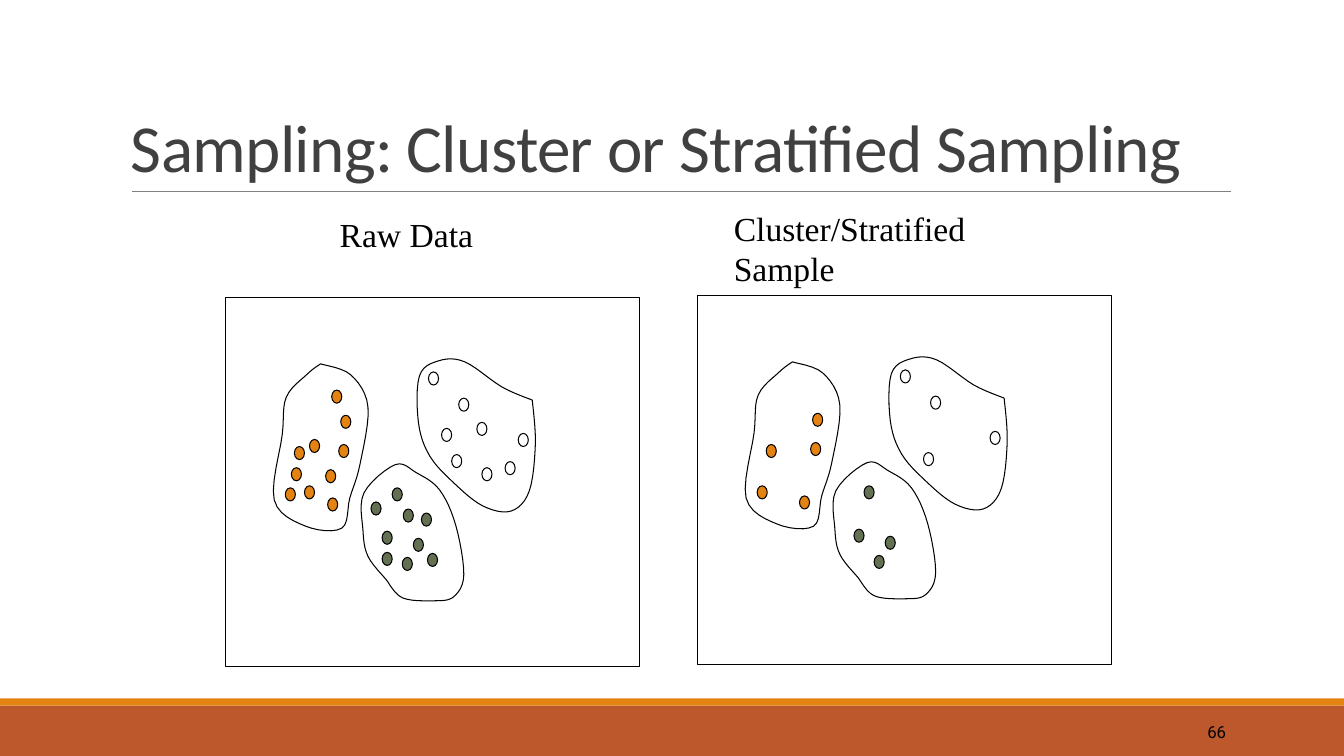
from dataclasses import dataclass

from lxml import etree
from pptx import Presentation
from pptx import util as u
from pptx.dml.color import RGBColor
from pptx.enum import shapes, text
from pptx.oxml.ns import qn

Point = tuple[float, float]

BLACK = "000000"
ORANGE = "E48312"
STEPS = 6


@dataclass
class Cluster:
    color: str
    kept: list[Point]
    rest: list[Point]
    edge: list[Point]


@dataclass
class Panel:
    dx: float
    dy: float
    whole: bool


@dataclass
class Label:
    lines: list[str]
    box: tuple[float, float, float, float]
    font: str
    size: float
    color: str = BLACK
    align: text.PP_ALIGN = text.PP_ALIGN.LEFT
    anchor: text.MSO_ANCHOR = text.MSO_ANCHOR.TOP
    tight: bool = False


CLUSTERS = [
    Cluster(
        "FFFFFF",
        [(4.55, 3.95), (4.48, 4.51), (5.14, 4.3), (4.25, 3.69)],
        [(4.73, 4.19), (4.38, 4.25), (5.01, 4.58), (4.78, 4.64)],
        [(5.28, 3.97), (5.31, 4.4), (5.25, 4.87), (5.07, 5.07), (4.79, 5.02), (4.5, 4.79),
         (4.26, 4.52), (4.15, 4.19), (4.16, 3.73), (4.35, 3.58), (4.61, 3.59), (4.98, 3.84)],
    ),
    Cluster(
        "637052",
        [(3.99, 5.53), (4.1, 5.34), (3.79, 5.27), (3.89, 4.84)],
        [(3.68, 4.98), (4.18, 5.09), (3.79, 5.48), (4, 5.05), (4.24, 5.49)],
        [(3.83, 5.75), (3.65, 5.52), (3.6, 5.26), (3.61, 4.89), (3.92, 4.61), (4.13, 4.69),
         (4.36, 4.86), (4.52, 5.21), (4.6, 5.7), (4.5, 5.92), (4.3, 5.96), (3.99, 5.93)],
    ),
    Cluster(
        ORANGE,
        [(2.83, 4.84), (2.92, 4.43), (3.25, 4.94), (3.36, 4.41), (3.38, 4.12)],
        [(3.02, 4.82), (2.89, 4.64), (3.23, 4.66), (3.07, 4.36), (3.29, 3.87)],
        [(3.18, 3.61), (3.48, 3.72), (3.65, 4.04), (3.57, 4.61), (3.47, 4.94), (3.39, 5.24),
         (3.03, 5.22), (2.72, 4.96), (2.8, 4.31), (2.84, 3.94), (3.05, 3.71)],
    ),
]
PANELS = [Panel(0, 0, True), Panel(4.68, -0.02, False)]
LABELS = [
    Label(["Sampling: Cluster or Stratified Sampling"], (1.2, 0.31, 11, 1.59),
          "Calibri", 48, "404040", anchor=text.MSO_ANCHOR.BOTTOM, tight=True),
    Label(["66"], (10.83, 7.06, 1.43, 0.4), "Roboto", 12,
          align=text.PP_ALIGN.RIGHT, anchor=text.MSO_ANCHOR.MIDDLE),
    Label(["Raw Data"], (3.27, 2.07, 1.61, 0.5), "Times New Roman", 24),
    Label(["Cluster/Stratified", "Sample"], (7.18, 2.01, 3.57, 0.5), "Times New Roman", 24),
]


def size(inch: float) -> u.Cm:
    return u.Cm(inch * 2.54)


def rgb(code: str) -> RGBColor:
    return RGBColor.from_string(code)


def paint(shape, fill: str | None, line: str | None) -> None:
    shape.shadow.inherit = False
    if fill:
        shape.fill.solid()
        shape.fill.fore_color.rgb = rgb(fill)
    else:
        shape.fill.background()
    if line:
        shape.line.color.rgb = rgb(line)
        shape.line.width = u.Pt(0.75)
    else:
        shape.line.fill.background()


def block(slide, kind, box, fill: str | None, line: str | None) -> None:
    paint(slide.shapes.add_shape(kind, *map(size, box)), fill, line)


def smooth(edge: list[Point]) -> list[Point]:
    knots = [edge[0], *edge, edge[0], edge[0]]
    points = []
    for four in zip(knots, knots[1:], knots[2:], knots[3:]):
        for step in range(STEPS):
            t = step / STEPS
            points.append(tuple(
                b + t / 2 * (c - a + t * (2 * a - 5 * b + 4 * c - d
                                          + t * (3 * (b - c) + d - a)))
                for a, b, c, d in zip(*four)))
    return points


def draw(slide, panel: Panel) -> None:
    def move(point: Point) -> Point:
        return point[0] + panel.dx, point[1] + panel.dy

    block(slide, shapes.MSO_SHAPE.RECTANGLE, (*move((2.24, 2.95)), 4.1, 3.66), None, BLACK)
    for group in CLUSTERS:
        for dot in group.kept + (group.rest if panel.whole else []):
            block(slide, shapes.MSO_SHAPE.FLOWCHART_CONNECTOR,
                  (*move(dot), 0.1, 0.13), group.color, BLACK)
        first, *others = [tuple(map(size, move(p))) for p in smooth(group.edge)]
        pen = slide.shapes.build_freeform(*first)
        pen.add_line_segments(others, close=True)
        paint(pen.convert_to_shape(), None, BLACK)


def write(slide, label: Label) -> None:
    frame = slide.shapes.add_textbox(*map(size, label.box)).text_frame
    frame.word_wrap = True
    frame.vertical_anchor = label.anchor
    para = frame.paragraphs[0]
    para.text = "\v".join(label.lines)
    para.alignment = label.align
    para.font.name = label.font
    para.font.size = u.Pt(label.size)
    para.font.color.rgb = rgb(label.color)
    if label.tight:
        para.line_spacing = 0.85
        for run in para.runs:
            run.font._element.set("spc", "-50")


def main() -> None:
    deck = Presentation()
    deck.slide_width, deck.slide_height = size(13.33), size(7.5)
    slide = deck.slides.add_slide(deck.slide_layouts[6])
    block(slide, shapes.MSO_SHAPE.RECTANGLE, (0, 7, 13.33, 0.5), "BD582C", None)
    block(slide, shapes.MSO_SHAPE.RECTANGLE, (0, 6.93, 13.33, 0.07), ORANGE, None)
    rule = slide.shapes.add_connector(
        shapes.MSO_CONNECTOR.STRAIGHT, *map(size, (1.31, 1.9, 12.21, 1.9)))
    rule.line.color.rgb = rgb("808080")
    rule.line.width = u.Pt(0.5)
    etree.SubElement(rule._element.spPr, qn("a:effectLst"))
    for panel in PANELS:
        draw(slide, panel)
    for label in LABELS:
        write(slide, label)
    deck.save("out.pptx")


if __name__ == "__main__":
    main()
